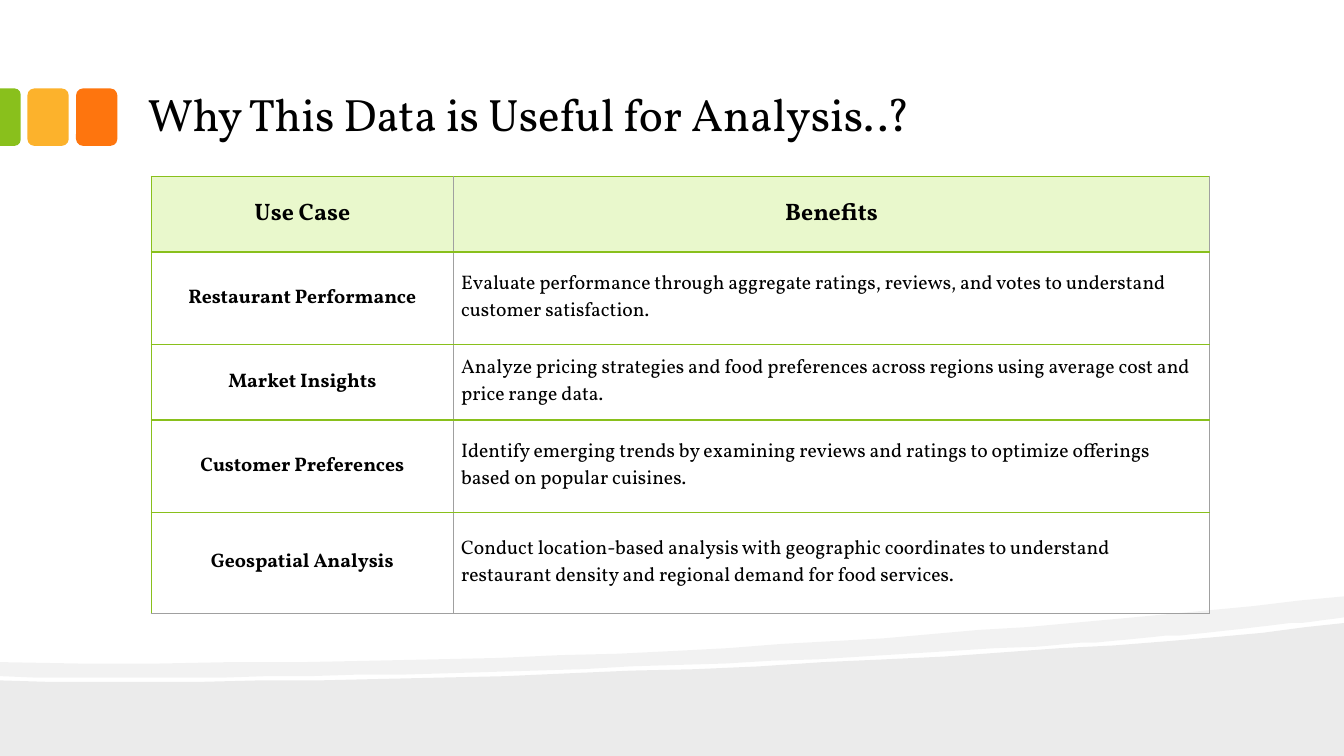
from lxml import etree
from pptx import Presentation
from pptx.dml.color import RGBColor
from pptx.enum.shapes import MSO_SHAPE
from pptx.enum.text import MSO_ANCHOR, MSO_AUTO_SIZE, PP_ALIGN
from pptx.oxml.ns import qn
from pptx.util import Pt

ROUNDED = MSO_SHAPE.ROUNDED_RECTANGLE
ROUNDED_TOP = MSO_SHAPE.ROUND_2_SAME_RECTANGLE
MIDDLE = MSO_ANCHOR.MIDDLE
LEFT, CENTER = PP_ALIGN.LEFT, PP_ALIGN.CENTER
NO_AUTOFIT = MSO_AUTO_SIZE.NONE

FONT = "Vollkorn"
BLACK, GREEN, AMBER, ORANGE = "000000", "89C01C", "FCB22C", "FE750E"
HEADER_GREEN, GREY = "E9F8CC", "A0A0A0"
PAGE_WIDTH, PAGE_HEIGHT = 960, 540

TITLE = "Why This Data is Useful for Analysis..?"
USE_CASES = [
    ("Use Case", "Benefits"),
    ("Restaurant Performance",
     "Evaluate performance through aggregate ratings, reviews, and votes "
     "to understand customer satisfaction."),
    ("Market Insights",
     "Analyze pricing strategies and food preferences across regions "
     "using average cost and price range data."),
    ("Customer Preferences",
     "Identify emerging trends by examining reviews and ratings "
     "to optimize offerings based on popular cuisines."),
    ("Geospatial Analysis",
     "Conduct location-based analysis with geographic coordinates "
     "to understand restaurant density and regional demand for food services."),
]
COLUMN_WIDTHS = [216, 540]
ROW_HEIGHTS = [54, 66, 54, 66, 72]


def color(hex_string):
    return RGBColor.from_string(hex_string)


def write(frame, text, size, bold=False, align=LEFT):
    para = frame.paragraphs[0]
    para.alignment = align
    span = para.add_run()
    span.text = text
    span.font.name = FONT
    span.font.size = Pt(size)
    span.font.bold = bold
    span.font.color.rgb = color(BLACK)


def paint(shape, fill, opacity=100):
    shape.shadow.inherit = False
    shape.fill.solid()
    shape.fill.fore_color.rgb = color(fill)
    shape.line.fill.background()
    if opacity < 100:
        tone = shape.fill._xPr.find(f"{qn('a:solidFill')}/{qn('a:srgbClr')}")
        etree.SubElement(tone, qn("a:alpha"), val=str(opacity * 1000))


def curve(start, first, second, end, steps=24):
    """Points along a cubic curve, without its start."""
    points = []
    for step in range(1, steps + 1):
        t = step / steps
        weights = ((1 - t) ** 3, 3 * t * (1 - t) ** 2, 3 * t * t * (1 - t), t ** 3)
        points.append(tuple(
            sum(w * p[axis] for w, p in zip(weights, (start, first, second, end)))
            for axis in (0, 1)))
    return points


def add_wave(page, points, opacity):
    builder = page.shapes.build_freeform(*points[0], scale=Pt(1))
    builder.add_line_segments(points[1:], close=True)
    paint(builder.convert_to_shape(), BLACK, opacity)


def add_waves(page, width, height):
    # Ground wave
    crest = (width, 445)
    ground = [(0, height), (width, height), crest]
    ground += curve(crest, (750.24, 471.6), (253.44, 491.76), (0, 486))
    add_wave(page, ground, 8)

    # Lighter band above it
    top, bottom, bend = (width, 426.24), (width, 440.64), (740.88, 461.52)
    band = [top, bottom]
    band += curve(bottom, (903.6, 448.56), (827.28, 455.76), bend)
    band += curve(bend, (502.56, 477.36), (185.76, 487.44), (0, 483.12))
    band.append((0, 473.4))
    band += curve((0, 473.4), (469.44, 476.64), (699.12, 451.44), top)
    add_wave(page, band, 5)


def add_tabs(page, top, width, height):
    # Whole rounded tabs
    for left, fill in ((54.3, ORANGE), (19.6, AMBER)):
        tab = page.shapes.add_shape(ROUNDED, Pt(left), Pt(top), Pt(width), Pt(height))
        paint(tab, fill)

    # Tab cut by the page edge, turned so its round corners face right
    depth = width / 2
    tab = page.shapes.add_shape(ROUNDED_TOP, Pt((depth - height) / 2),
                                Pt(top + (height - depth) / 2), Pt(height), Pt(depth))
    tab.rotation = 90
    tab.adjustments[0] = 0.292
    paint(tab, GREEN)


def add_title(page, left, top, width, height):
    title = page.shapes.title
    title.left, title.top = Pt(left), Pt(top)
    title.width, title.height = Pt(width), Pt(height)
    frame = title.text_frame
    frame.auto_size = NO_AUTOFIT
    frame.word_wrap = True
    frame.vertical_anchor = MIDDLE
    frame.margin_left = frame.margin_right = Pt(9.4)
    frame.margin_top = frame.margin_bottom = Pt(5)
    write(frame, TITLE, 32.4)


def set_borders(cell, sides):
    properties = cell._tc.get_or_add_tcPr()
    for index, (side, line_color) in enumerate(sides.items()):
        line = etree.Element(qn(f"a:ln{side}"), w=str(Pt(1)))
        fill = etree.SubElement(line, qn("a:solidFill"))
        etree.SubElement(fill, qn("a:srgbClr"), val=line_color)
        properties.insert(index, line)


def add_use_case_table(page, left, top):
    row_count, column_count = len(ROW_HEIGHTS), len(COLUMN_WIDTHS)
    table = page.shapes.add_table(
        row_count, column_count, Pt(left), Pt(top),
        Pt(sum(COLUMN_WIDTHS)), Pt(sum(ROW_HEIGHTS))).table
    table.first_row = table.horz_banding = False
    for column, width in zip(table.columns, COLUMN_WIDTHS):
        column.width = Pt(width)

    for r, (texts, height) in enumerate(zip(USE_CASES, ROW_HEIGHTS)):
        table.rows[r].height = Pt(height)
        for c, text in enumerate(texts):
            cell = table.cell(r, c)
            header, label = r == 0, c == 0
            cell.vertical_anchor = MIDDLE
            cell.margin_left = cell.margin_right = Pt(5.4)
            cell.margin_top = cell.margin_bottom = Pt(2.7)
            if header:
                cell.fill.solid()
                cell.fill.fore_color.rgb = color(HEADER_GREEN)
            else:
                cell.fill.background()
            set_borders(cell, {
                "L": GREEN if label else GREY, "R": GREY,
                "T": GREEN, "B": GREY if r == row_count - 1 else GREEN})
            write(cell.text_frame, text, 17 if header else 14,
                  bold=header or label, align=CENTER if header or label else LEFT)


def main():
    deck = Presentation()
    deck.slide_width, deck.slide_height = Pt(PAGE_WIDTH), Pt(PAGE_HEIGHT)
    page = deck.slides.add_slide(deck.slide_layouts[5])
    add_waves(page, PAGE_WIDTH, PAGE_HEIGHT)
    add_tabs(page, 63.2, 29.5, 41)
    add_title(page, 96, 60, 768, 42)
    add_use_case_table(page, 108, 126)
    deck.save("out.pptx")


if __name__ == "__main__":
    main()
